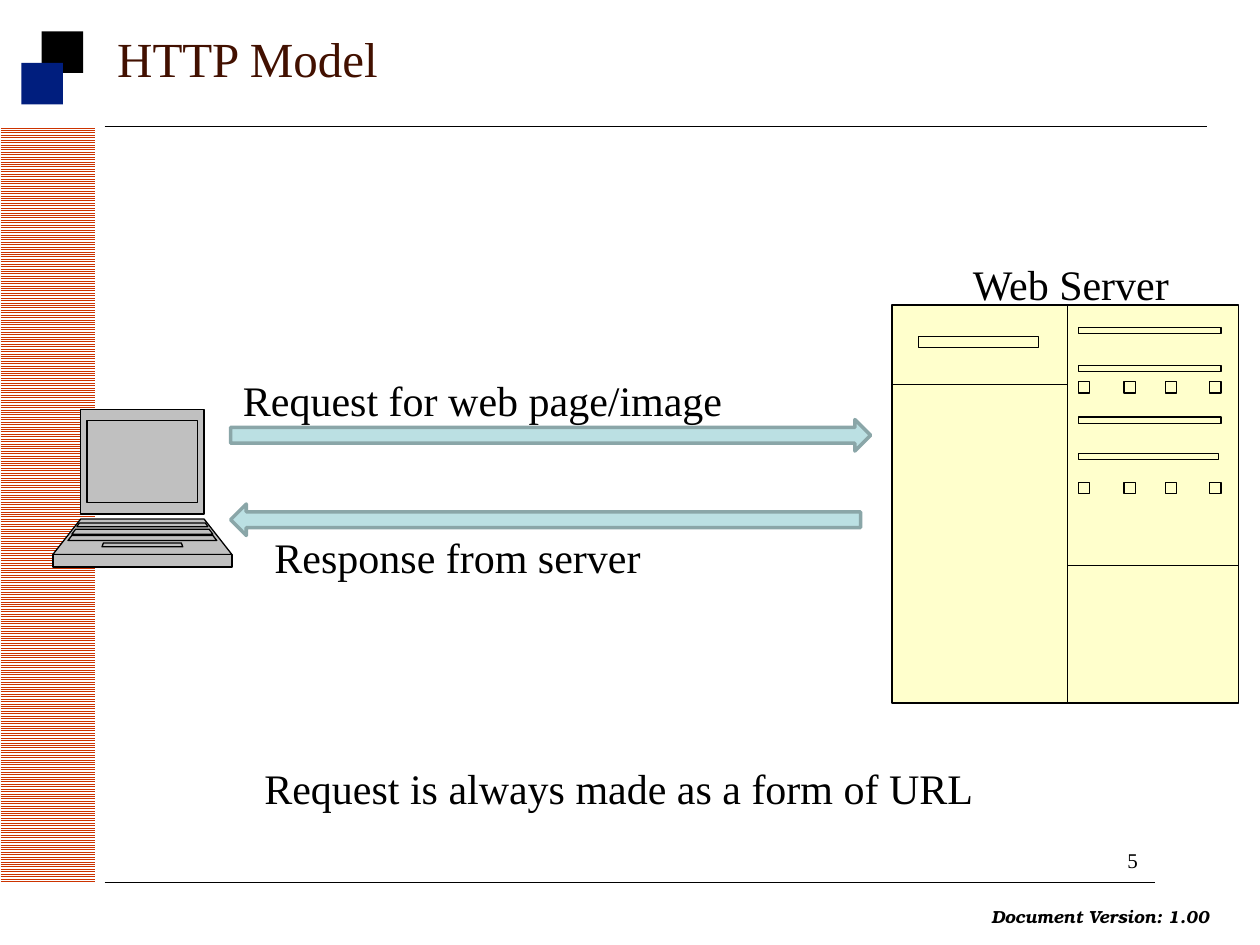
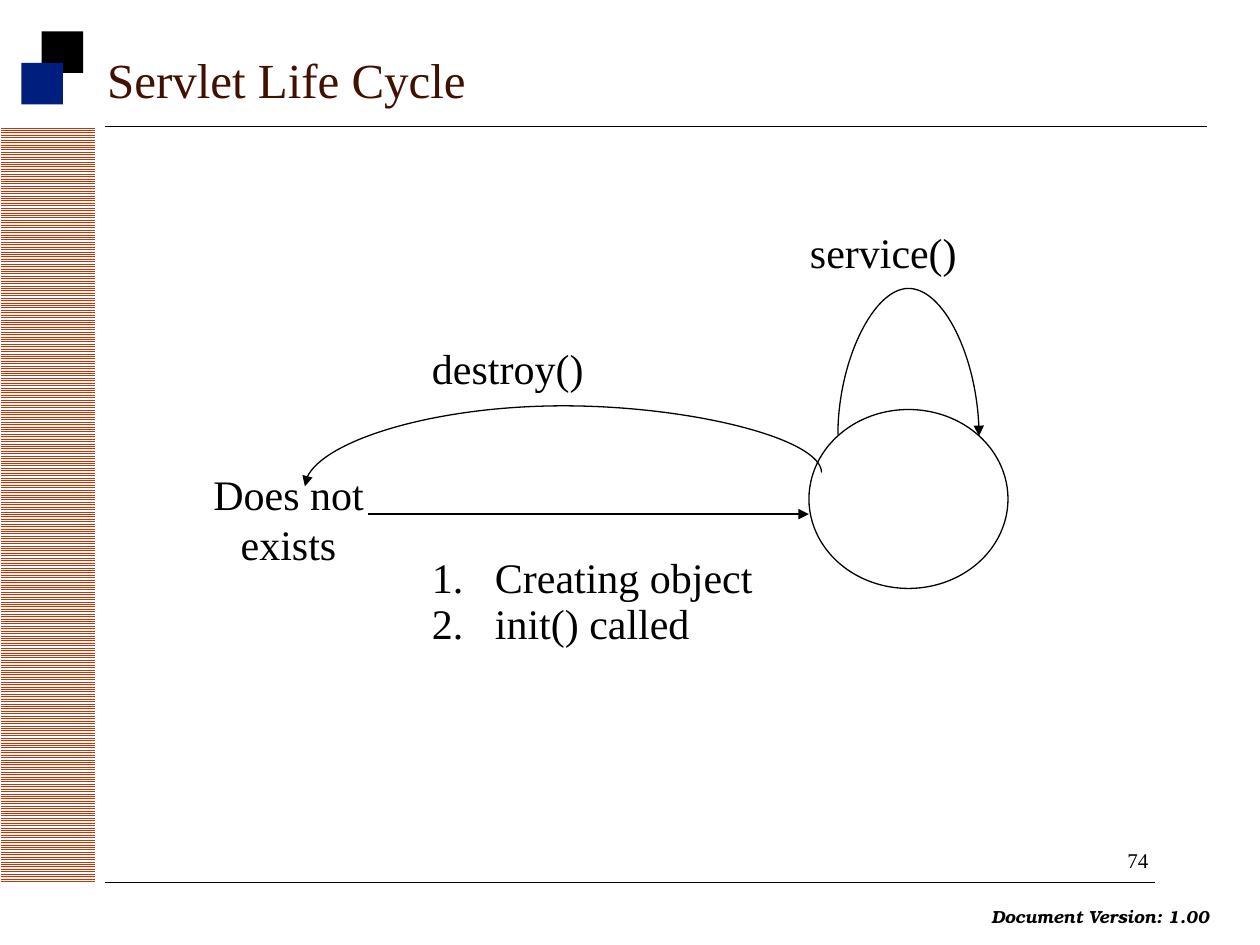
from lxml import etree
from pptx import Presentation
from pptx.dml.color import RGBColor
from pptx.enum.dml import MSO_PATTERN
from pptx.enum.shapes import MSO_CONNECTOR, MSO_SHAPE
from pptx.enum.text import MSO_ANCHOR, PP_ALIGN
from pptx.oxml.ns import qn
from pptx.util import Inches, Pt

RECTANGLE, ELLIPSE = MSO_SHAPE.RECTANGLE, MSO_SHAPE.OVAL
RIGHT_ARROW, LEFT_ARROW = MSO_SHAPE.RIGHT_ARROW, MSO_SHAPE.LEFT_ARROW
STRAIGHT, CURVE = MSO_CONNECTOR.STRAIGHT, MSO_CONNECTOR.CURVE
LEFT, CENTER = PP_ALIGN.LEFT, PP_ALIGN.CENTER
MIDDLE = MSO_ANCHOR.MIDDLE
STRIPES = MSO_PATTERN.LIGHT_HORIZONTAL
TITLE_ONLY = 5

COLORS = {
    "ink": "000000", "paper": "FFFFFF", "title": "421000", "stripe": "CC3300",
    "navy": "001E7E", "laptop": "C0C0C0", "server": "FFFFCC",
    "arrow": "BBE0E3", "arrow edge": "8AA6A8",
}
BODY = {"name": "Times New Roman", "size": Pt(24)}
TITLE = {**BODY, "size": Pt(28)}
NUMBER = {**BODY, "size": Pt(12)}
VERSION = {"name": "TeX Gyre Bonum", "size": Pt(10), "bold": True, "italic": True}


def color(name):
    return RGBColor.from_string(COLORS[name])


def inches(values):
    return [Inches(value) for value in values]


def box(left, top, width, height):
    """Corners of a closed rectangle."""
    right, bottom = left + width, top + height
    return [(left, top), (right, top), (right, bottom), (left, bottom), (left, top)]


def trapezoid(middle, top, bottom, half_top, half_bottom):
    """Corners of a closed trapezoid, symmetrical about x = middle."""
    return [(middle - half_top, top), (middle + half_top, top),
            (middle + half_bottom, bottom), (middle - half_bottom, bottom),
            (middle - half_top, top)]


class Deck:
    """Holds the shared style and the slide being drawn."""

    def __init__(self):
        self.prs = Presentation()
        self.prs.slide_width, self.prs.slide_height = inches((10, 7.5))
        self.slide = None

    def new_slide(self, title, title_area, number):
        layout = self.prs.slide_layouts[TITLE_ONLY]
        self.slide = self.prs.slides.add_slide(layout)
        band = self.shape(RECTANGLE, (-2.62, 3.62, 6, 0.75), "paper")
        band.rotation = 270
        band.fill.patterned()
        band.fill.pattern = STRIPES
        band.fill.fore_color.rgb = color("stripe")
        band.fill.back_color.rgb = color("paper")
        self.line((0.83, 1), (9.58, 1), 0.25)
        self.line((0.83, 7), (9.17, 7), 0.25)
        self.shape(RECTANGLE, (0.33, 0.25, 0.33, 0.33), "ink")
        self.shape(RECTANGLE, (0.17, 0.5, 0.33, 0.33), "navy")
        self.text("Document Version: 1.00", (7.77, 7.14, 1.94, 0.27), VERSION, wrap=False)
        self.text(str(number), (8.85, 6.68, 0.4, 0.3), NUMBER, wrap=False)
        self.title(title, title_area)

    def title(self, words, area):
        heading = self.slide.shapes.title
        heading.left, heading.top, heading.width, heading.height = inches(area)
        heading.text_frame.vertical_anchor = MIDDLE
        self.set_words(heading.text_frame.paragraphs[0], words, TITLE, "title")

    def set_words(self, paragraph, words, style, ink="ink", align=LEFT):
        paragraph.text = words
        paragraph.alignment = align
        for name, value in style.items():
            setattr(paragraph.font, name, value)
        paragraph.font.color.rgb = color(ink)

    def text(self, words, area, style=BODY, align=LEFT, wrap=True):
        frame = self.slide.shapes.add_textbox(*inches(area)).text_frame
        frame.word_wrap = wrap
        self.set_words(frame.paragraphs[0], words, style, align=align)

    def numbered(self, items, area):
        frame = self.slide.shapes.add_textbox(*inches(area)).text_frame
        frame.word_wrap = True
        for index, item in enumerate(items):
            paragraph = frame.add_paragraph() if index else frame.paragraphs[0]
            props = paragraph._p.get_or_add_pPr()
            props.set("marL", str(Inches(0.5)))
            props.set("indent", str(-Inches(0.5)))
            etree.SubElement(props, qn("a:buAutoNum"), type="arabicPeriod")
            paragraph.line_spacing = 0.5
            if index:
                paragraph.space_before = Pt(12)
            self.set_words(paragraph, item, BODY)

    def paint(self, shape, fill, edge, weight):
        shape.shadow.inherit = False
        if fill:
            shape.fill.solid()
            shape.fill.fore_color.rgb = color(fill)
        else:
            shape.fill.background()
        if edge:
            shape.line.color.rgb = color(edge)
            shape.line.width = Pt(weight)
        else:
            shape.line.fill.background()

    def shape(self, kind, area, fill=None, edge=None, weight=0.75):
        shape = self.slide.shapes.add_shape(kind, *inches(area))
        self.paint(shape, fill, edge, weight)
        return shape

    def drawing(self, contours, fill):
        """One freeform whose contours are filled one over another."""
        start, *rest = [[inches(point) for point in contour] for contour in contours]
        builder = self.slide.shapes.build_freeform(*start[0])
        builder.add_line_segments(start[1:], close=True)
        for contour in rest:
            builder.move_to(*contour[0])
            builder.add_line_segments(contour[1:], close=contour[0] == contour[-1])
        shape = builder.convert_to_shape()
        outline = shape._element.find(".//" + qn("a:path"))
        layers = outline.getparent()
        for step in list(outline):
            if step.tag == qn("a:moveTo"):
                layer = etree.SubElement(layers, qn("a:path"), dict(outline.attrib))
            layer.append(step)
        layers.remove(outline)
        self.paint(shape, fill, "ink", 0.75)

    def line(self, start, end, weight=0.75, arrow=False, kind=STRAIGHT):
        line = self.slide.shapes.add_connector(kind, *inches((*start, *end)))
        line.line.color.rgb = color("ink")
        line.line.width = Pt(weight)
        props = line._element.spPr
        if arrow:
            etree.SubElement(props.find(qn("a:ln")), qn("a:tailEnd"), type="triangle")
        etree.SubElement(props, qn("a:effectLst"))
        return line

    def loop(self, start, end, peak):
        """Curved arrow that rises from start to the height peak and falls to end."""
        middle_x, middle_y = (start[0] + end[0]) / 2, (start[1] + end[1]) / 2
        drop, half_span = end[1] - start[1], (start[0] - end[0]) / 2
        # Turned by 90 degrees, so the drop is the width and the span the height.
        curve = self.line((middle_x - drop / 2, middle_y - half_span),
                          (middle_x + drop / 2, middle_y + half_span),
                          arrow=True, kind=CURVE)
        props = curve._element.spPr
        props.find(qn("a:xfrm")).set("rot", "5400000")
        bend = round((peak - start[1]) / drop * 100000)
        guides = props.find(qn("a:prstGeom")).find(qn("a:avLst"))
        etree.SubElement(guides, qn("a:gd"), name="adj1", fmla=f"val {bend}")


def http_model(deck):
    deck.new_slide("HTTP Model", (0.83, 0, 9, 0.92), 5)

    laptop_parts = [  # top, bottom, half width at top, half width at bottom
        (3.25, 4.08, 0.49, 0.49), (4.12, 4.4, 0.49, 0.71), (4.4, 4.5, 0.71, 0.71),
        (3.34, 3.99, 0.44, 0.44), (4.15, 4.18, 0.5, 0.52), (4.31, 4.34, 0.31, 0.32),
        (4.2, 4.24, 0.53, 0.56), (4.25, 4.29, 0.56, 0.59),
    ]
    deck.drawing([trapezoid(1.13, *part) for part in laptop_parts], "laptop")

    case = [box(7.08, 2.42, 2.75, 3.16),
            [(7.08, 3.05), (8.47, 3.05), (8.47, 4.49), (9.83, 4.49)],
            [(8.47, 2.42), (8.47, 5.58)]]
    slot = box(7.29, 2.67, 0.95, 0.09)
    bars = [box(8.56, top, width, 0.05)
            for top, width in ((2.6, 1.13), (2.9, 1.13), (3.31, 1.13), (3.6, 1.11))]
    buttons = [box(left, top, 0.09, 0.09)
               for top in (3.03, 3.83) for left in (8.56, 8.92, 9.25, 9.6)]
    deck.drawing([*case, slot, *bars, *buttons], "server")

    deck.shape(RIGHT_ARROW, (1.83, 3.33, 5.08, 0.25), "arrow", "arrow edge", 2)
    deck.shape(LEFT_ARROW, (1.83, 4, 5, 0.25), "arrow", "arrow edge", 2)
    deck.text("Request for web page/image", (1.83, 2.92, 4.25, 0.51))
    deck.text("Response from server", (2.08, 4.17, 4.75, 0.51))
    deck.text("Web Server", (7, 2, 3, 0.51), align=CENTER)
    deck.text("Request is always made as a form of URL", (2, 6, 5.83, 0.51))


def servlet_life_cycle(deck):
    deck.new_slide("Servlet Life Cycle", (0.75, 0, 8.5, 1.25), 74)
    deck.shape(ELLIPSE, (6.42, 3.25, 1.58, 1.42), edge="ink")
    deck.text("Does not exists", (1.33, 3.67, 1.92, 0.9), align=CENTER)
    deck.line((2.92, 4.08), (6.42, 4.08), arrow=True)
    deck.loop((6.52, 3.75), (2.42, 3.86), peak=3.22)
    deck.loop((6.65, 3.45), (7.77, 3.46), peak=2.27)
    deck.numbered(["Creating object", "init() called"], (3.33, 4.5, 3, 0.7))
    deck.text("destroy()", (3.33, 2.67, 2.83, 0.5))
    deck.text("service()", (6.33, 1.75, 2.5, 0.5))


def main():
    deck = Deck()
    http_model(deck)
    servlet_life_cycle(deck)
    deck.prs.save("out.pptx")


if __name__ == "__main__":
    main()
